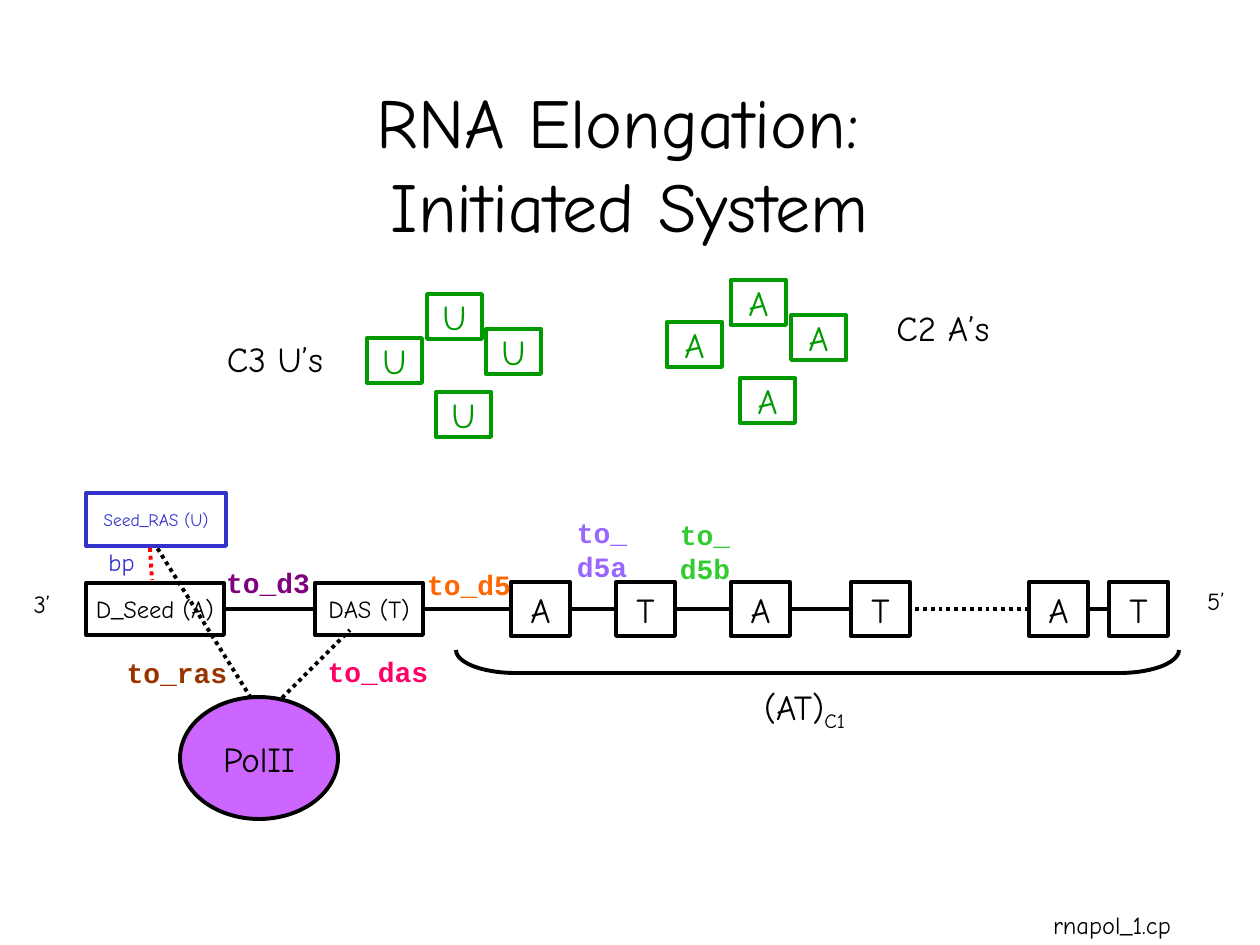
"""Build the RNA elongation slide showing the initiated system."""
from dataclasses import dataclass

from lxml import etree
from pptx import Presentation
from pptx.dml.color import RGBColor
from pptx.enum.dml import MSO_LINE
from pptx.enum.shapes import MSO_CONNECTOR, MSO_SHAPE
from pptx.enum.text import MSO_ANCHOR, MSO_AUTO_SIZE, PP_ALIGN
from pptx.oxml.ns import qn
from pptx.util import Emu, Pt

RECT, OVAL, BRACKET = MSO_SHAPE.RECTANGLE, MSO_SHAPE.OVAL, MSO_SHAPE.LEFT_BRACKET
STRAIGHT = MSO_CONNECTOR.STRAIGHT
DOTTED = MSO_LINE.ROUND_DOT
MIDDLE, CENTER = MSO_ANCHOR.MIDDLE, PP_ALIGN.CENTER
GROW = MSO_AUTO_SIZE.SHAPE_TO_FIT_TEXT
LEFT, BOTTOM, RIGHT = 1, 2, 3
PX_PER_INCH = 126


@dataclass(frozen=True)
class Theme:
    body: str = "Comic Neue"
    code: str = "Courier New"
    title: int = 40
    large: int = 20
    label: int = 16
    medium: int = 14
    small: int = 10
    line: float = 2.25
    black: str = "000000"
    white: str = "FFFFFF"
    blue: str = "3333CC"
    green: str = "009900"
    red: str = "FF0000"
    violet: str = "CC66FF"
    to_d3: str = "800080"
    to_d5: str = "FF6600"
    to_ras: str = "993300"
    to_das: str = "FF0066"
    to_d5a: str = "9966FF"
    to_d5b: str = "33CC33"


def px(*values):
    return [Emu(round(v * 914400 / PX_PER_INCH)) for v in values]


def rgb(color):
    return RGBColor.from_string(color)


def write_text(sp, text, *, size, color, font, bold=False, wrap=False, sub=""):
    tf = sp.text_frame
    tf.word_wrap = wrap
    tf.vertical_anchor = MIDDLE
    p = tf.paragraphs[0]
    p.alignment = CENTER
    for i, line in enumerate(text.split("\n") + ([sub] if sub else [])):
        if i and not sub:
            p.add_line_break()
        r = p.add_run()
        r.text = line
        r.font.size, r.font.name, r.font.bold = Pt(size), font, bold
        r.font.color.rgb = rgb(color)
    if sub:
        r.font._element.set("baseline", "-25000")


class Diagram:
    def __init__(self, slide, theme):
        self.s = slide
        self.t = theme

    def outline(self, sp, color):
        sp.line.color.rgb = rgb(color)
        sp.line.width = Pt(self.t.line)

    def box(self, x, y, w, h, text, size, color=None, border=None,
            fill=None, kind=RECT, sub=""):
        sp = self.s.shapes.add_shape(kind, *px(x, y, w, h))
        sp.shadow.inherit = False
        sp.fill.solid()
        sp.fill.fore_color.rgb = rgb(fill or self.t.white)
        if border:
            self.outline(sp, border)
        else:
            sp.line.fill.background()
        write_text(sp, text, size=size, color=color or self.t.black,
                   font=self.t.body, sub=sub)
        return sp

    def line(self, x1, y1, x2, y2, color=None, dash=None):
        sp = self.s.shapes.add_connector(STRAIGHT, *px(x1, y1, x2, y2))
        self.outline(sp, color or self.t.black)
        if dash:
            sp.line.dash_style = dash
        etree.SubElement(sp._element.spPr, qn("a:effectLst"))
        return sp

    def title(self, x, y, w, h, text):
        sp = self.s.shapes.add_textbox(*px(x, y, w, h))
        write_text(sp, text, size=self.t.title, color=self.t.black,
                   font=self.t.body, wrap=True)

    def label(self, x, y, w, h, text, color, wrap=False):
        sp = self.s.shapes.add_textbox(*px(x, y, w, h))
        write_text(sp, text, size=self.t.label, color=color,
                   font=self.t.code, bold=True, wrap=wrap)
        sp.text_frame.auto_size = GROW

    def bracket(self, x, y, w, h, curve):
        sp = self.s.shapes.add_shape(BRACKET, *px(x, y, w, h))
        sp.shadow.inherit = False
        sp.fill.background()
        self.outline(sp, self.t.black)
        sp.adjustments[0] = curve
        sp.rotation = 270


def draw_strand(d):
    t = d.t
    gap = d.line(774, 609, 1029, 609, dash=DOTTED)
    d.title(94, 83, 1071, 158, "RNA Elongation: \nInitiated System")
    backbone = d.line(423, 609, 850, 609)
    seed_ras = d.box(86, 493, 140, 53, "Seed_RAS (U)", t.small, t.blue, t.blue)
    d_seed = d.box(86, 583, 138, 52, "D_Seed (A)", t.medium, border=t.black)
    das = d.box(315, 583, 108, 52, "DAS (T)", t.medium, border=t.black)
    seed_link = d.line(224, 609, 315, 609)
    d.line(150, 548, 152, 580, t.red, DOTTED)
    d.box(105, 551, 33, 21, "bp", t.medium, t.blue)
    bases = [d.box(x, 582, 59, 54, base, t.large, border=t.black)
             for x, base in zip((511, 616, 731, 851, 1029, 1109), "ATATAT")]
    last_link = d.line(1088, 609, 1109, 609)
    for link, start, end in ((backbone, das, bases[3]),
                             (seed_link, d_seed, das),
                             (last_link, bases[4], bases[5])):
        link.begin_connect(start, RIGHT)
        link.end_connect(end, LEFT)
    gap.end_connect(bases[4], LEFT)
    d.box(21, 581, 42, 45, "3’", t.medium)
    d.box(1195, 578, 42, 45, "5’", t.medium)
    d.bracket(806, 300, 23, 723, 2.61)
    d.box(752, 677, 105, 64, "(AT)", t.large, sub="C1")
    return seed_ras


def draw_pools(d):
    t = d.t
    pools = {"U": ((367, 338), (486, 329), (436, 392), (427, 294)),
             "A": ((667, 322), (791, 315), (740, 378), (731, 280))}
    for base, places in pools.items():
        for x, y in places:
            d.box(x, y, 55, 45, base, t.large, t.green, t.green)
    d.box(224, 318, 102, 81, "C3 U’s", t.large)
    d.box(892, 287, 102, 81, "C2 A’s", t.large)


def draw_polymerase(d, seed_ras):
    t = d.t
    d.box(180, 697, 158, 122, "PolII", t.large, border=t.black,
          fill=t.violet, kind=OVAL)
    d.label(412, 561, 114, 47, "to_d5", t.to_d5)
    d.label(211, 559, 114, 47, "to_d3", t.to_d3)
    ras_link = d.line(251, 698, 156, 546, dash=DOTTED)
    ras_link.end_connect(seed_ras, BOTTOM)
    d.label(112, 649, 130, 47, "to_ras", t.to_ras)
    d.line(282, 698, 350, 630, dash=DOTTED)
    d.label(313, 648, 130, 47, "to_das", t.to_das)
    d.label(560, 509, 84, 81, "to_d5a", t.to_d5a, wrap=True)
    d.label(663, 511, 84, 81, "to_d5b", t.to_d5b, wrap=True)
    d.box(964, 905, 296, 40, "rnapol_1.cp", t.medium)


def main():
    prs = Presentation()
    prs.slide_width, prs.slide_height = px(1260, 945)
    d = Diagram(prs.slides.add_slide(prs.slide_layouts[6]), Theme())
    seed_ras = draw_strand(d)
    draw_pools(d)
    draw_polymerase(d, seed_ras)
    prs.save("out.pptx")


if __name__ == "__main__":
    main()
